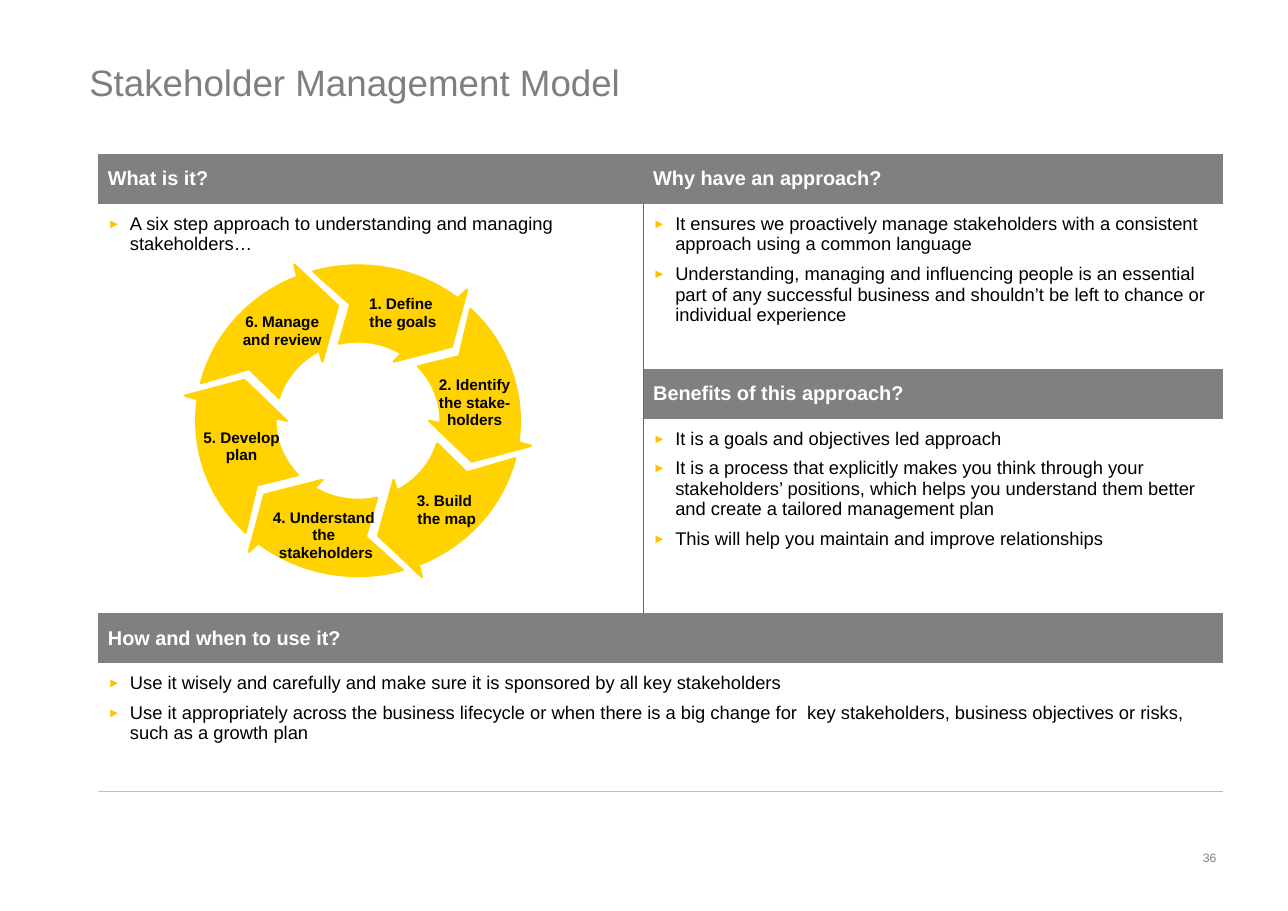
import math
from dataclasses import dataclass

import lxml.etree
import pptx
import pptx.dml.color
import pptx.enum.text
import pptx.oxml.ns
import pptx.util

ANCHOR = pptx.enum.text.MSO_ANCHOR
ALIGN = pptx.enum.text.PP_ALIGN


@dataclass(frozen=True)
class Theme:
    """Colours, font and type sizes."""
    font: str = "Arial"
    title: str = "7F7E82"
    band: str = "808080"
    rule: str = "646464"
    base_rule: str = "C0C0C0"
    arrow: str = "FFD200"
    bullet: str = "FFC000"
    text: str = "000000"
    light: str = "FFFFFF"
    title_size: int = 24
    heading_size: int = 13
    body_size: int = 12
    label_size: int = 10
    number_size: int = 8


class SlideBuilder:
    """Draws elements on one slide, with lengths in percent of its size."""

    def __init__(self, deck, theme):
        self.deck = deck
        self.theme = theme
        self.page = deck.slides.add_slide(deck.slide_layouts[6])

    def x(self, percent):
        return round(self.deck.slide_width * percent / 100)

    def y(self, percent):
        return round(self.deck.slide_height * percent / 100)

    def color(self, value):
        return pptx.dml.color.RGBColor.from_string(value)

    def child(self, parent, tag, **attributes):
        return lxml.etree.SubElement(parent, pptx.oxml.ns.qn(tag), attributes)

    def add_text(self, para, text, size, color, bold=False):
        for index, line in enumerate(text.split("\n")):
            if index:
                para.add_line_break()
            span = para.add_run()
            span.text = line
            span.font.name = self.theme.font
            span.font.size = pptx.util.Pt(size)
            span.font.bold = bold
            span.font.color.rgb = self.color(color)

    def inset(self, frame, left, top, right, bottom):
        frame.margin_left, frame.margin_top, frame.margin_right, frame.margin_bottom = (
            pptx.util.Inches(margin) for margin in (left, top, right, bottom))

    def text(self, place, text, size, color, anchor, align):
        left, top, width, height = place
        box = self.page.shapes.add_textbox(
            self.x(left), self.y(top), self.x(width), self.y(height))
        frame = box.text_frame
        frame.word_wrap = True
        frame.vertical_anchor = anchor
        self.inset(frame, 0, 0, 0, 0)
        para = frame.paragraphs[0]
        para.alignment = align
        para.line_spacing = 0.9
        self.add_text(para, text, size, color)

    def table(self, left, top, columns, rows):
        holder = self.page.shapes.add_table(
            len(rows), len(columns), self.x(left), self.y(top),
            self.x(sum(columns)), self.y(sum(rows)))
        table = holder.table
        table.first_row = table.horz_banding = False
        for column, width in zip(table.columns, columns):
            column.width = self.x(width)
        for row, height in zip(table.rows, rows):
            row.height = self.y(height)
        return table

    def borders(self, cell, **rules):
        properties = cell._tc.get_or_add_tcPr()
        for index, side in enumerate("LRTB"):
            color, width = rules.get(side, (None, 0))
            line = lxml.etree.Element(
                pptx.oxml.ns.qn("a:ln" + side), w=str(pptx.util.Pt(width)))
            if color:
                fill = self.child(line, "a:solidFill")
                self.child(fill, "a:srgbClr", val=color)
            else:
                self.child(line, "a:noFill")
            properties.insert(index, line)

    def heading(self, cell, text):
        cell.fill.solid()
        cell.fill.fore_color.rgb = self.color(self.theme.band)
        cell.vertical_anchor = ANCHOR.MIDDLE
        self.inset(cell, 0.09, 0.09, 0.09, 0.09)
        self.add_text(cell.text_frame.paragraphs[0], text,
                      self.theme.heading_size, self.theme.light, True)

    def bullets(self, cell, items):
        cell.fill.background()
        self.inset(cell, 0.09, 0.09, 0.09, 0.09)
        frame = cell.text_frame
        for index, item in enumerate(items):
            para = frame.add_paragraph() if index else frame.paragraphs[0]
            para.space_before = pptx.util.Pt(6)
            properties = para._p.get_or_add_pPr()
            indent = pptx.util.Inches(0.2)
            properties.set("marL", str(indent))
            properties.set("indent", str(-indent))
            tint = self.child(properties, "a:buClr")
            self.child(tint, "a:srgbClr", val=self.theme.bullet)
            self.child(properties, "a:buSzPct", val="70000")
            self.child(properties, "a:buFont", typeface=self.theme.font)
            self.child(properties, "a:buChar", char="►")
            self.add_text(para, item, self.theme.body_size, self.theme.text)

    def ring_arrow(self, center, radii, turn, label, insets):
        def arc(radius, start, end, steps=16):
            return [(radius, start + (end - start) * step / steps)
                    for step in range(steps + 1)]

        head = [(0.44, 0), (0.75, -20.5), (1.08, -8.6)]
        outline = head + arc(1, -8, 46) + [(0.75, 33.6)] + arc(0.51, 43.3, -2)
        points = []
        for radius, angle in outline:
            heading = math.radians(turn + angle)
            points.append((self.x(center[0] + radii[0] * radius * math.cos(heading)),
                           self.y(center[1] - radii[1] * radius * math.sin(heading))))
        builder = self.page.shapes.build_freeform(*points[0])
        builder.add_line_segments(points[1:], close=True)
        shape = builder.convert_to_shape()
        shape.shadow.inherit = False
        shape.fill.solid()
        shape.fill.fore_color.rgb = self.color(self.theme.arrow)
        shape.line.color.rgb = self.color(self.theme.arrow)
        shape.line.width = pptx.util.Pt(1.5)
        frame = shape.text_frame
        frame.word_wrap = True
        frame.vertical_anchor = ANCHOR.MIDDLE
        self.inset(frame, *insets)
        para = frame.paragraphs[0]
        para.alignment = ALIGN.CENTER
        para.line_spacing = 0.95
        self.add_text(para, label, self.theme.label_size, self.theme.text, True)


def main():
    """Builds the stakeholder management slide."""
    deck = pptx.Presentation()
    deck.slide_width = pptx.util.Inches(11.69)
    deck.slide_height = pptx.util.Inches(8.27)
    theme = Theme()
    slide = SlideBuilder(deck, theme)

    table = slide.table(7.61, 16.93, [42.34, 45], [5.44, 18.14, 5.44, 21.4, 5.44, 14.15])
    divider = (theme.rule, 1)
    for row in range(6):
        rules = {"B": (theme.base_rule, 0.75)} if row == 5 else {}
        split = row in (1, 2, 3)
        slide.borders(table.cell(row, 0), **rules, **({"R": divider} if split else {}))
        slide.borders(table.cell(row, 1), **rules, **({"L": divider} if split else {}))
    table.cell(1, 0).merge(table.cell(3, 0))
    for row in (4, 5):
        table.cell(row, 0).merge(table.cell(row, 1))

    sections = [
        (0, 0, "What is it?", [
            "A six step approach to understanding and managing stakeholders…"]),
        (0, 1, "Why have an approach?", [
            "It ensures we proactively manage stakeholders with a consistent approach using a common language",
            "Understanding, managing and influencing people is an essential part of any successful business and shouldn’t be left to chance or individual experience"]),
        (2, 1, "Benefits of this approach?", [
            "It is a goals and objectives led approach",
            "It is a process that explicitly makes you think through your stakeholders’ positions, which helps you understand them better and create a tailored management plan",
            "This will help you maintain and improve relationships"]),
        (4, 0, "How and when to use it?", [
            "Use it wisely and carefully and make sure it is sponsored by all key stakeholders",
            "Use it appropriately across the business lifecycle or when there is a big change for  key stakeholders, business objectives or risks, such as a growth plan"]),
    ]
    for row, column, heading, items in sections:
        slide.heading(table.cell(row, column), heading)
        slide.bullets(table.cell(row + 1, column), items)

    steps = [
        ("1. Define \nthe goals", (0.27, 0.04, 0.04, 0.04)),
        ("2. Identify\nthe stake-\nholders", (0.04, 0.36, 0.04, 0.04)),
        ("3. Build \nthe map", (0.04, 0.04, 0.04, 0.04)),
        ("4. Understand \nthe \nstakeholders", (0.04, 0.18, 0.04, 0.04)),
        ("5. Develop\nplan", (0.04, 0.04, 0.04, 0.21)),
        ("6. Manage\nand review", (0.27, 0.04, 0.04, 0.04)),
    ]
    for index, (label, insets) in enumerate(steps):
        slide.ring_arrow((27.8, 46.19), (12.57, 17.05), 60 - 60 * index, label, insets)

    slide.text((6.93, 3.39, 88.88, 8.1), "Stakeholder Management Model",
               theme.title_size, theme.title, ANCHOR.BOTTOM, ALIGN.LEFT)
    slide.text((89.91, 93.23, 4.53, 1.93), "36",
               theme.number_size, theme.band, ANCHOR.MIDDLE, ALIGN.RIGHT)
    deck.save("out.pptx")


if __name__ == "__main__":
    main()
